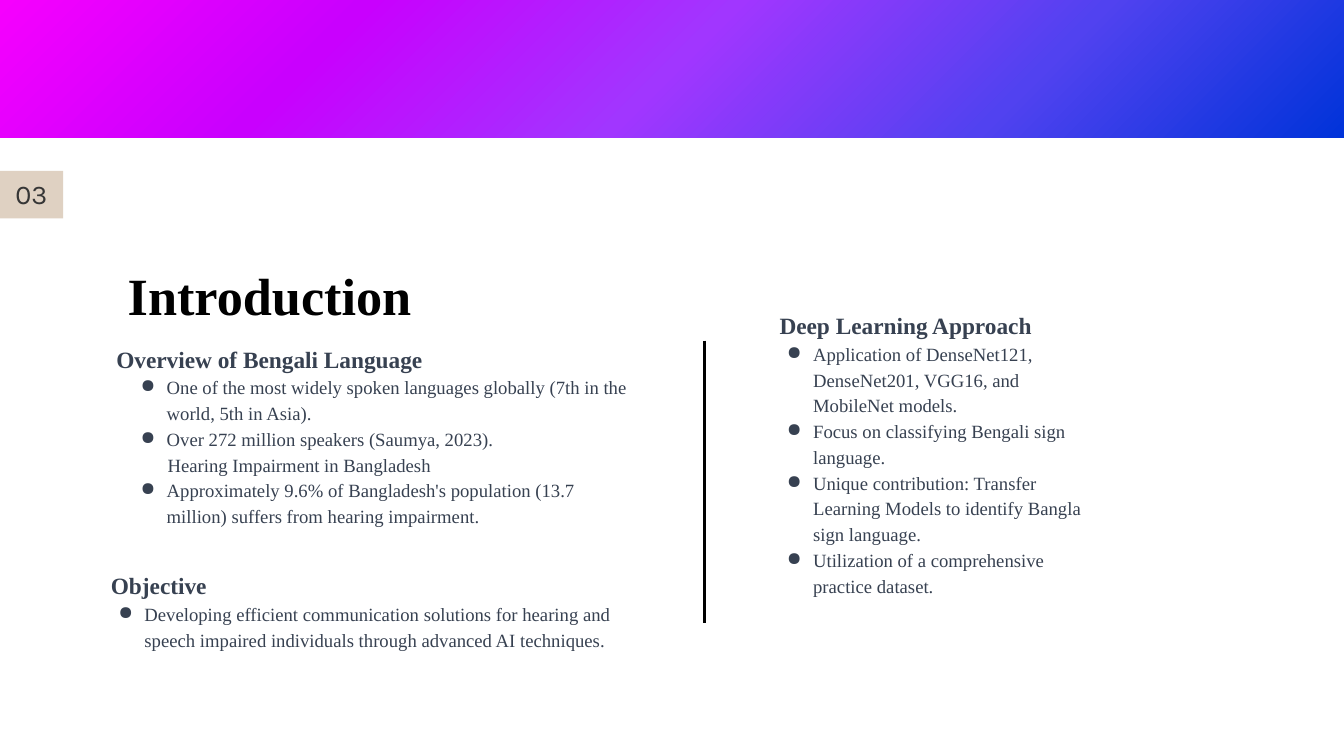
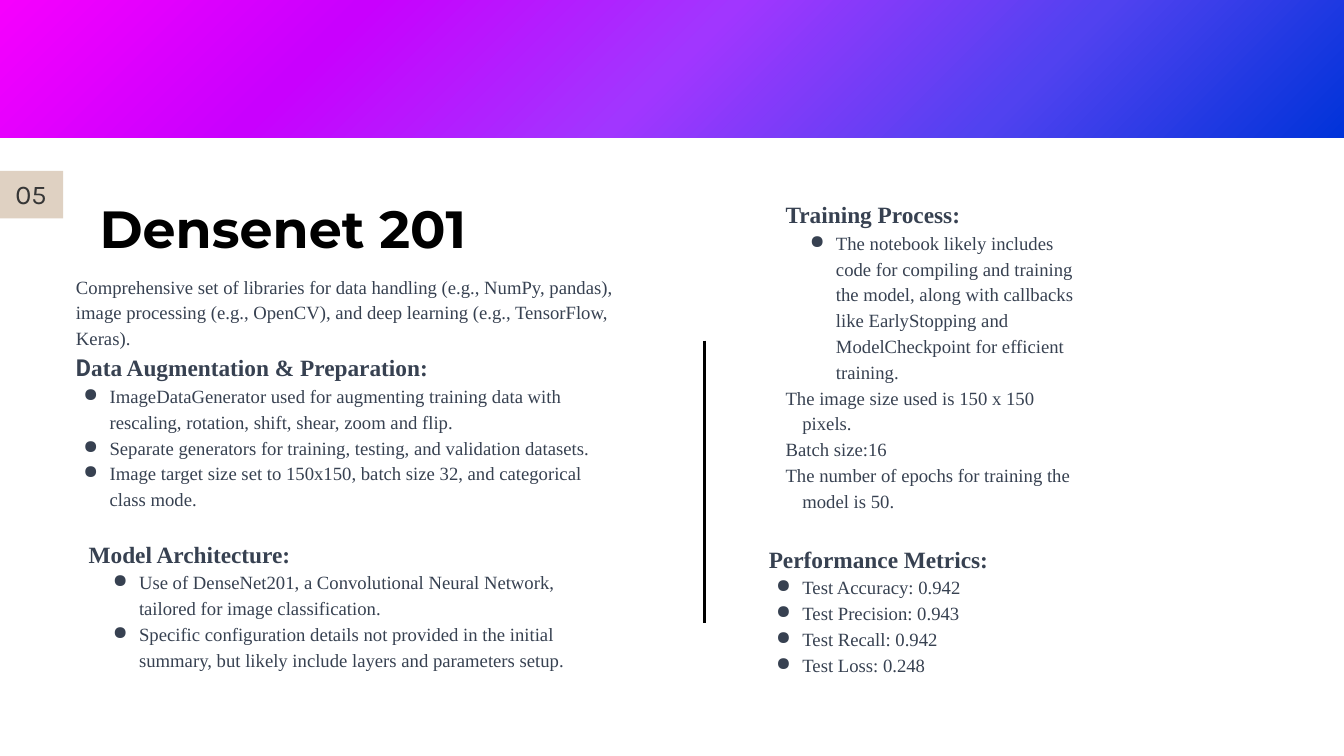
from lxml.etree import SubElement
from pptx import Presentation
from pptx.dml.color import RGBColor
from pptx.enum.shapes import MSO_CONNECTOR, MSO_SHAPE
from pptx.enum.text import MSO_ANCHOR, MSO_AUTO_SIZE as AutoSize, PP_ALIGN
from pptx.oxml.ns import qn
from pptx.util import Pt

WIDTH, HEIGHT = 1440, 810
COLORS = {"title": "000000", "body": "374151", "rule": "000000",
          "tab": "DFD1C2", "number": "363636"}
BAND_STOPS = ["F600FE", "C900FE", "A136FF", "5142F0", "0033D9"]
SERIF = "Times New Roman"

# Paragraph styles: size, bold, left margin, first-line indent, level, bulleted
STYLES = {
    "heading": (25, True, 0, 0, 0, False),
    "hanging heading": (25, True, 36, -18, 0, False),
    "plain": (20, False, 0, 0, 0, False),
    "hanging": (20, False, 36, -18, 0, False),
    "indented": (20, False, 73, 0, 0, False),
    "bullet": (20, False, 36, -28, 0, True),
    "deep bullet": (20, False, 72, -28, 1, True),
}


def rgb(name):
    return RGBColor.from_string(COLORS[name])


def set_font(paragraph, name, size, color, bold=False):
    font = paragraph.font
    font.name, font.size, font.bold = name, Pt(size), bold
    font.color.rgb = rgb(color)


def set_insets(frame, left=0, top=0, right=0, bottom=0):
    frame.margin_left, frame.margin_top = Pt(left), Pt(top)
    frame.margin_right, frame.margin_bottom = Pt(right), Pt(bottom)
    frame.vertical_anchor = MSO_ANCHOR.TOP
    frame.word_wrap = True


def format_paragraph(paragraph, style):
    size, bold, margin, indent, level, bulleted = STYLES[style]
    properties = paragraph._p.get_or_add_pPr()
    properties.set("marL", str(Pt(margin)))
    properties.set("indent", str(Pt(indent)))
    if bulleted:
        bullet_color = SubElement(properties, qn("a:buClr"))
        SubElement(bullet_color, qn("a:srgbClr"), val=COLORS["body"])
        SubElement(properties, qn("a:buChar"), char="●")
    paragraph.level = level
    paragraph.line_spacing = 1.15
    set_font(paragraph, SERIF, size, "body", bold)


def add_text_block(slide, box, entries, top_inset=0):
    """Fill a box with (style, text) paragraphs and return them."""
    frame = slide.shapes.add_textbox(*map(Pt, box)).text_frame
    set_insets(frame, top=top_inset)
    frame.auto_size = AutoSize.SHAPE_TO_FIT_TEXT
    for index, (style, text) in enumerate(entries):
        paragraph = frame.add_paragraph() if index else frame.paragraphs[0]
        paragraph.add_run().text = text
        format_paragraph(paragraph, style)
    return frame.paragraphs


def add_title(slide, box, text, font_name):
    title = slide.shapes.title
    title.left, title.top, title.width, title.height = map(Pt, box)
    frame = title.text_frame
    frame.text = text
    set_insets(frame)
    frame.auto_size = AutoSize.SHAPE_TO_FIT_TEXT
    paragraph = frame.paragraphs[0]
    paragraph.alignment = PP_ALIGN.LEFT
    paragraph.line_spacing = 1.4
    set_font(paragraph, font_name, 56, "title", True)


def add_rectangle(slide, box):
    shape = slide.shapes.add_shape(MSO_SHAPE.RECTANGLE, *map(Pt, box))
    shape.shadow.inherit = False
    shape.line.fill.background()
    return shape


def add_band(slide, box):
    band = add_rectangle(slide, box)
    band.fill.gradient()
    gradient = band._element.spPr.find(qn("a:gradFill"))
    for child in list(gradient):
        gradient.remove(child)
    # Evenly spaced stops spreading from the top left corner
    stops = SubElement(gradient, qn("a:gsLst"))
    step = 100000 // (len(BAND_STOPS) - 1)
    for index, color in enumerate(BAND_STOPS):
        stop = SubElement(stops, qn("a:gs"), pos=str(index * step))
        SubElement(stop, qn("a:srgbClr"), val=color)
    spread = SubElement(gradient, qn("a:path"), path="circle")
    SubElement(spread, qn("a:fillToRect"), r="100000", b="100000")


def add_divider(slide, x, top, bottom):
    divider = slide.shapes.add_connector(
        MSO_CONNECTOR.STRAIGHT, Pt(x), Pt(top), Pt(x), Pt(bottom))
    divider.line.color.rgb = rgb("rule")
    divider.line.width = Pt(3)
    SubElement(divider._element.spPr, qn("a:effectLst"))


def add_number_tab(slide, box, number):
    tab = add_rectangle(slide, box)
    tab.fill.solid()
    tab.fill.fore_color.rgb = rgb("tab")
    frame = tab.text_frame
    set_insets(frame, 16.5, 7.2, 7.2, 14.4)
    frame.text = number
    paragraph = frame.paragraphs[0]
    paragraph.alignment = PP_ALIGN.LEFT
    set_font(paragraph, "Karla", 29, "number")


def add_frame(slide, number):
    """Place the band, divider and number tab that every slide shares."""
    add_band(slide, (0, 0, WIDTH, 147.6))
    add_divider(slide, 754.5, 365, 668)
    add_number_tab(slide, (0, 183, 67.7, 51), number)


def build_introduction(slide):
    add_title(slide, (136.8, 255.6, 661, 67.7), "Introduction", SERIF)
    # Left column
    add_text_block(slide, (118.8, 607.7, 566.6, 116), [
        ("heading", "Objective"),
        ("bullet", "Developing efficient communication solutions for hearing and "
                   "speech impaired individuals through advanced AI techniques."),
    ])
    add_text_block(slide, (106.6, 365, 566.6, 242.6), [
        ("hanging heading", "Overview of Bengali Language"),
        ("deep bullet", "One of the most widely spoken languages globally "
                        "(7th in the world, 5th in Asia)."),
        ("deep bullet", "Over 272 million speakers (Saumya, 2023)."),
        ("indented", "Hearing Impairment in Bangladesh"),
        ("deep bullet", "Approximately 9.6% of Bangladesh's population "
                        "(13.7 million) suffers from hearing impairment."),
    ])
    # Right column
    add_text_block(slide, (835.2, 329, 339.8, 339), [
        ("heading", "Deep Learning Approach"),
        ("bullet", "Application of DenseNet121, DenseNet201, VGG16, and "
                   "MobileNet models."),
        ("bullet", "Focus on classifying Bengali sign language."),
        ("bullet", "Unique contribution: Transfer Learning Models to identify "
                   "Bangla sign language."),
        ("bullet", "Utilization of a comprehensive practice dataset."),
    ])
    add_frame(slide, "03")


def build_densenet(slide):
    add_title(slide, (106.6, 183, 661, 67.7), "Densenet 201", "Montserrat")
    # Left column
    paragraphs = add_text_block(slide, (81.4, 291.6, 581.8, 282), [
        ("plain", "Comprehensive set of libraries for data handling (e.g., NumPy, "
                  "pandas), image processing (e.g., OpenCV), and deep learning "
                  "(e.g., TensorFlow, Keras)."),
        ("heading", "D"),
        ("bullet", "ImageDataGenerator used for augmenting training data with "
                   "rescaling, rotation, shift, shear, zoom and flip."),
        ("bullet", "Separate generators for training, testing, and validation "
                   "datasets."),
        ("bullet", "Image target size set to 150x150, batch size 32, and "
                   "categorical class mode."),
    ])
    # The heading's initial has its own typeface
    paragraphs[1].runs[0].font.name = "Roboto"
    paragraphs[1].add_run().text = "ata Augmentation & Preparation:"
    add_text_block(slide, (77, 573.8, 566.6, 193), [
        ("hanging heading", "Model Architecture:"),
        ("deep bullet", "Use of DenseNet201, a Convolutional Neural Network, "
                        "tailored for image classification."),
        ("deep bullet", "Specific configuration details not provided in the initial "
                        "summary, but likely include layers and parameters setup."),
    ])
    # Right column
    paragraphs = add_text_block(slide, (823.7, 180.7, 339.8, 566), [
        ("hanging heading", "Training Process:"),
        ("deep bullet", "The notebook likely includes code for compiling and "
                        "training the model, along with callbacks like "
                        "EarlyStopping and ModelCheckpoint for efficient training."),
        ("hanging", "The image size used is 150 x 150 pixels."),
        ("hanging", "Batch size:16"),
        ("hanging", "The number of epochs for training the model is 50."),
        ("heading", "Performance Metrics:"),
        ("bullet", "Test Accuracy: 0.942"),
        ("bullet", "Test Precision: 0.943"),
        ("bullet", "Test Recall: 0.942"),
        ("bullet", "Test Loss: 0.248"),
    ], top_inset=29.5)
    paragraphs[5].space_before = Pt(31)
    add_frame(slide, "05")


def main():
    presentation = Presentation()
    presentation.slide_width, presentation.slide_height = Pt(WIDTH), Pt(HEIGHT)
    title_only = presentation.slide_layouts[5]
    for build in (build_introduction, build_densenet):
        build(presentation.slides.add_slide(title_only))
    presentation.save("out.pptx")


if __name__ == "__main__":
    main()
